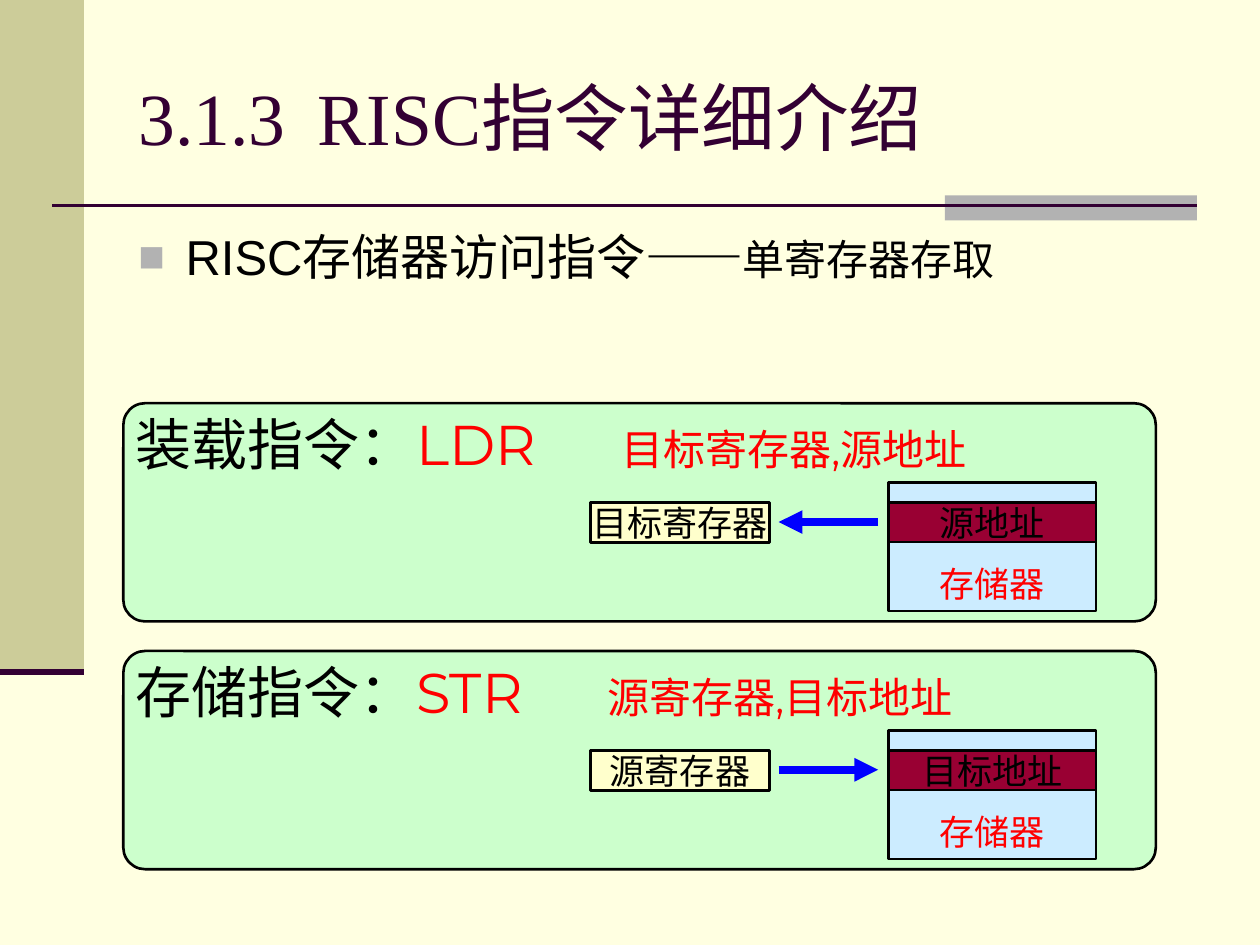
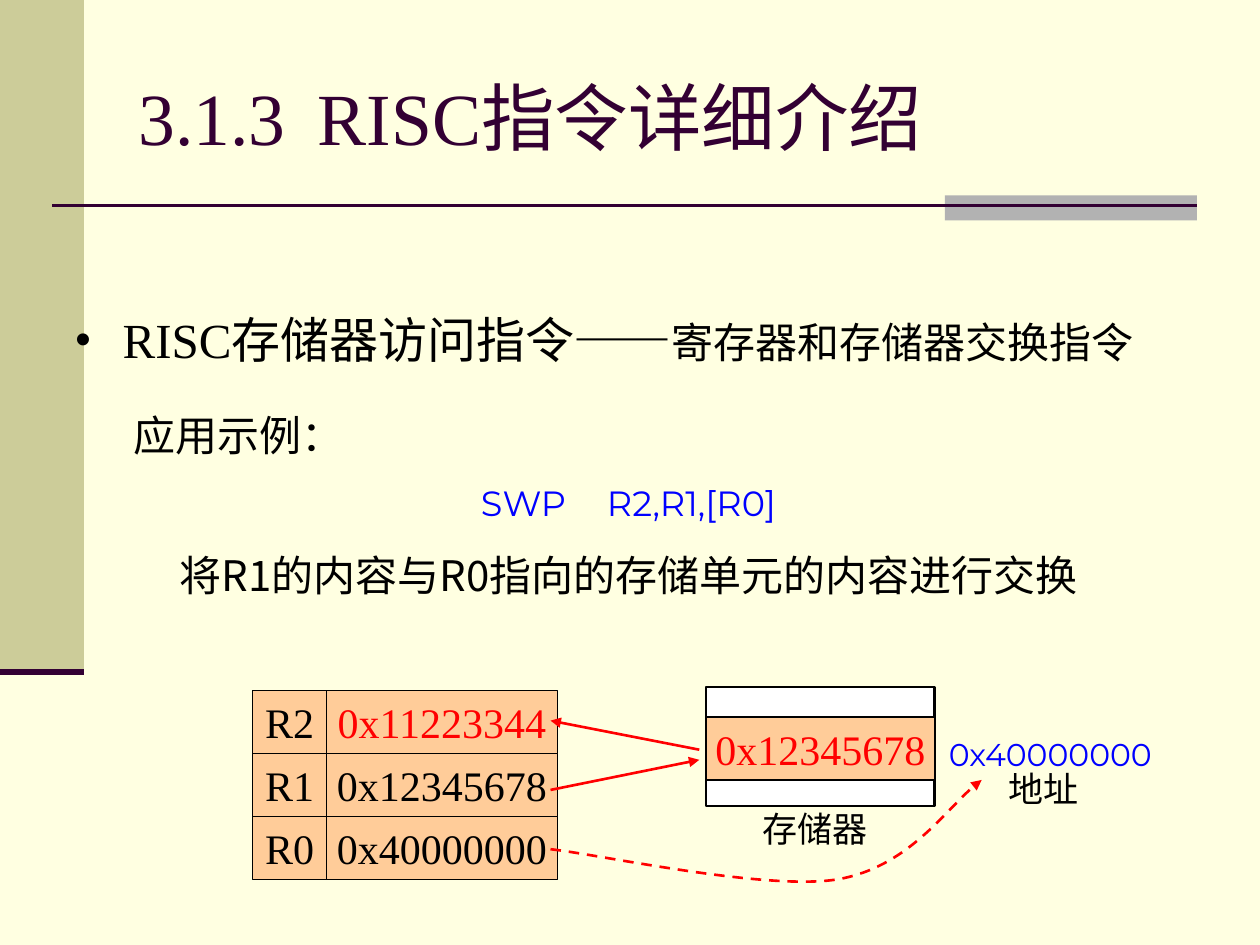
"""Builds two slides on memory access instructions."""
from dataclasses import dataclass, replace

import lxml.etree
import pptx
import pptx.dml.color
import pptx.enum.dml
import pptx.enum.shapes
import pptx.enum.text
import pptx.oxml.ns
import pptx.util

Pt = pptx.util.Pt
qn = pptx.oxml.ns.qn
ALIGN = pptx.enum.text.PP_ALIGN
ANCHOR = pptx.enum.text.MSO_ANCHOR
SHAPE = pptx.enum.shapes.MSO_SHAPE


@dataclass(frozen=True)
class Style:
    """Font, size and colour of text."""
    font: str
    size: float
    colour: str


@dataclass(frozen=True)
class Theme:
    """Colours and type styles of the deck."""
    page: str = "FFFFE1"
    sidebar: str = "CCCC99"
    accent: str = "B2B2B2"
    rule: str = "330033"
    panel: str = "CCFFCC"
    memory: str = "CCECFF"
    address: str = "990033"
    register: str = "FFFFCC"
    cell: str = "FFCC99"
    white: str = "FFFFFF"
    black: str = "000000"
    red: str = "FF0000"
    blue: str = "0000FF"
    east_asian: str = "Noto Sans CJK JP"
    title: Style = Style("Times New Roman", 42, "330033")
    heading: Style = Style("Arial", 28, "000000")
    serif_heading: Style = Style("Times New Roman", 28, "000000")
    command: Style = Style("Times New Roman", 32, "000000")
    mnemonic: Style = Style("Montserrat", 32, "FF0000")
    operands: Style = Style("Montserrat", 24, "FF0000")
    label: Style = Style("Times New Roman", 20, "000000")
    value: Style = Style("Times New Roman", 24, "000000")
    note: Style = Style("Noto Sans CJK JP", 24, "000000")
    code: Style = Style("Montserrat", 20, "0000FF")
    pointer: Style = Style("Montserrat", 18, "0000FF")


THEME = Theme()


def rgb(colour):
    """Return a colour object for a hex string."""
    return pptx.dml.color.RGBColor.from_string(colour)


def add_element(parent, tag, **attributes):
    """Append a drawing element to a parent."""
    return lxml.etree.SubElement(parent, qn(f"a:{tag}"), attributes)


def set_font(font, style):
    """Apply a style to a font."""
    font.name = style.font
    font.size = Pt(style.size)
    font.color.rgb = rgb(style.colour)


def write(para, spans, align=ALIGN.LEFT, before=0, bullet=None, tab=None):
    """Fill a paragraph with (text, style) spans."""
    para.alignment = align
    if before:
        para.space_before = Pt(before)
    properties = para._p.get_or_add_pPr()
    if bullet:
        char, colour = bullet
        properties.set("marL", str(Pt(27)))
        properties.set("indent", str(-Pt(27)))
        add_element(add_element(properties, "buClr"), "srgbClr", val=colour)
        add_element(properties, "buSzPct", val="90000")
        add_element(properties, "buFont", typeface="Arial")
        add_element(properties, "buChar", char=char)
    if tab:
        stops = add_element(properties, "tabLst")
        add_element(stops, "tab", pos=str(Pt(tab)), algn="l")
    base = spans[0][1]
    set_font(para.font, base)
    add_element(properties.find(qn("a:defRPr")), "ea", typeface=THEME.east_asian)
    for text, style in spans:
        span = para.add_run()
        span.text = text
        if style != base:
            set_font(span.font, style)


def add_text(page, bounds, spans, anchor=ANCHOR.TOP, wrap=True, **layout):
    """Add a text box with one paragraph and return its frame."""
    frame = page.shapes.add_textbox(*map(Pt, bounds)).text_frame
    frame.word_wrap = wrap
    frame.vertical_anchor = anchor
    write(frame.paragraphs[0], spans, **layout)
    return frame


def add_box(page, bounds, fill, line=None, width=1.5, kind=SHAPE.RECTANGLE):
    """Add a filled shape, outlined when a line colour is given."""
    box = page.shapes.add_shape(kind, *map(Pt, bounds))
    box.shadow.inherit = False
    box.fill.solid()
    box.fill.fore_color.rgb = rgb(fill)
    if line:
        box.line.color.rgb = rgb(line)
        box.line.width = Pt(width)
    else:
        box.line.fill.background()
    return box


def add_cell(page, bounds, fill, text, style, width=1.5, anchor=ANCHOR.MIDDLE):
    """Add an outlined box with a centred label."""
    box = add_box(page, bounds, fill, THEME.black, width)
    box.text_frame.word_wrap = False
    box.text_frame.vertical_anchor = anchor
    write(box.text_frame.paragraphs[0], [(text, style)], ALIGN.CENTER)


def add_arrowhead(line):
    """Put a triangle at the end of a line."""
    add_element(line._get_or_add_ln(), "tailEnd", type="triangle")


def add_line(page, start, end, colour, width, arrow=False):
    """Add a straight line, with an arrowhead if wanted."""
    kind = pptx.enum.shapes.MSO_CONNECTOR.STRAIGHT
    connector = page.shapes.add_connector(kind, *map(Pt, (*start, *end)))
    connector.line.color.rgb = rgb(colour)
    connector.line.width = Pt(width)
    if arrow:
        add_arrowhead(connector.line)
    add_element(connector._element.spPr, "effectLst")


def add_dashed_curve(page, points, colour):
    """Add a dashed Bezier arrow from a start and triples of points."""
    start, *rest = [tuple(map(Pt, point)) for point in points]
    builder = page.shapes.build_freeform(*start)
    builder.add_line_segments(rest, close=False)
    curve = builder.convert_to_shape()
    outline = next(curve._element.iter(qn("a:path")))
    segments = outline.findall(qn("a:lnTo"))
    for first in range(0, len(segments), 3):
        bezier = add_element(outline, "cubicBezTo")
        for segment in segments[first:first + 3]:
            bezier.append(segment[0])
            outline.remove(segment)
    curve.shadow.inherit = False
    curve.fill.background()
    curve.line.color.rgb = rgb(colour)
    curve.line.width = Pt(1.5)
    curve.line.dash_style = pptx.enum.dml.MSO_LINE.DASH
    add_arrowhead(curve.line)


def add_page(deck):
    """Add a slide with the shared decoration and title."""
    page = deck.slides.add_slide(deck.slide_layouts[6])
    page.background.fill.solid()
    page.background.fill.fore_color.rgb = rgb(THEME.page)
    add_box(page, (0, 0, 48, 384), THEME.sidebar)
    add_box(page, (540, 111.6, 144, 14.4), THEME.accent)
    add_line(page, (30, 117.5), (684, 117.5), THEME.rule, 1.5)
    add_line(page, (0, 384), (48, 384), THEME.rule, 3.5)
    add_text(page, (72, 21.6, 612, 90), [("3.1.3\tRISC指令详细介绍", THEME.title)],
             ANCHOR.MIDDLE, tab=102.5)
    return page


def add_heading(page, bounds, topic, style, bullet):
    """Add the bulleted heading with its smaller topic."""
    spans = [("RISC存储器访问指令——", style), (topic, replace(style, size=24))]
    add_text(page, bounds, spans, bullet=bullet)


def add_instruction(page, top, command, mnemonic, operands, tab, register,
                    address, loads):
    """Add a panel showing one transfer between register and memory."""
    panel = add_box(page, (70.5, top, 590, 124.7), THEME.panel, THEME.black,
                    kind=SHAPE.ROUNDED_RECTANGLE)
    panel.adjustments[0] = 0.1
    add_text(page, (70.5, top, 561.6, 46),
             [(command, THEME.command), (f"{mnemonic}\t", THEME.mnemonic),
              (operands, THEME.operands)], tab=tab)
    add_cell(page, (507.6, top + 45.4, 118.8, 73.4), THEME.memory, "存储器",
             replace(THEME.label, colour=THEME.red), anchor=ANCHOR.BOTTOM)
    add_cell(page, (507.6, top + 56.9, 118.8, 22.5), THEME.address, address,
             THEME.label)
    add_cell(page, (337.5, top + 56.9, 102.2, 22.8), THEME.register, register,
             THEME.label)
    ends = [(445, top + 67.9), (501.8, top + 67.9)]
    start, end = reversed(ends) if loads else ends
    add_line(page, start, end, THEME.blue, 4.5, arrow=True)


def add_registers(page, registers):
    """Add the stack of register names and values."""
    height = 36
    for row, (name, value, colour) in enumerate(registers):
        top = 394.5 + row * height
        add_cell(page, (144.5, top, 42, height), THEME.cell, name, THEME.value, 0.75)
        add_cell(page, (186.5, top, 132, height), THEME.cell, value,
                 replace(THEME.value, colour=colour), 0.75)


def add_memory(page):
    """Add the memory block with its captions and address."""
    add_box(page, (403.5, 392.5, 130.5, 68.2), THEME.white, THEME.black)
    add_cell(page, (403.5, 409.7, 130.5, 36), THEME.cell, "0x12345678",
             replace(THEME.value, colour=THEME.red), 0.75)
    add_text(page, (534.2, 412.6, 132, 36), [("0x40000000", THEME.pointer)],
             ANCHOR.MIDDLE, wrap=False, align=ALIGN.CENTER)
    for left, top, caption in ((403.2, 458, "存储器"), (534.2, 435, "地址")):
        add_text(page, (left, top, 124.6, 31.7), [(caption, THEME.label)],
                 align=ALIGN.CENTER)


def build_single_transfer(deck):
    """Build the slide on single register load and store."""
    page = add_page(deck)
    add_heading(page, (72, 126, 612, 60), "单寄存器存取", THEME.heading,
                ("■", THEME.accent))
    add_instruction(page, 230.4, "装载指令：", "LDR", "目标寄存器,源地址", 277.5,
                    "目标寄存器", "源地址", loads=True)
    add_instruction(page, 372, "存储指令：", "STR", "源寄存器,目标地址", 269.5,
                    "源寄存器", "目标地址", loads=False)


def build_swap(deck):
    """Build the slide on the register and memory swap."""
    page = add_page(deck)
    add_heading(page, (36, 173.5, 660, 48), "寄存器和存储器交换指令",
                THEME.serif_heading, ("•", THEME.black))
    frame = add_text(page, (69, 230.4, 580.5, 116.6), [("应用示例：", THEME.note)],
                     align=ALIGN.JUSTIFY)
    write(frame.add_paragraph(), [("SWP\tR2,R1,[R0]", THEME.code)],
          ALIGN.CENTER, before=12.5, tab=72)
    write(frame.add_paragraph(),
          [("将R1的内容与R0指向的存储单元的内容进行交换", THEME.note)],
          ALIGN.CENTER, before=15)
    add_registers(page, [("R2", "0x11223344", THEME.red),
                         ("R1", "0x12345678", THEME.black),
                         ("R0", "0x40000000", THEME.black)])
    add_memory(page)
    add_dashed_curve(page, [(314.6, 485.3), (342, 488.2), (437, 509), (478, 502.6),
                            (518.4, 496), (543.6, 458), (561, 445.7)], THEME.red)
    add_line(page, (314.6, 451.4), (399.6, 434.2), THEME.red, 1.5, arrow=True)
    add_line(page, (399.6, 428.4), (314.6, 411.8), THEME.red, 1.5, arrow=True)


def main():
    """Build and save the deck."""
    deck = pptx.Presentation()
    deck.slide_width, deck.slide_height = Pt(720), Pt(540)
    build_single_transfer(deck)
    build_swap(deck)
    deck.save("out.pptx")


if __name__ == "__main__":
    main()
